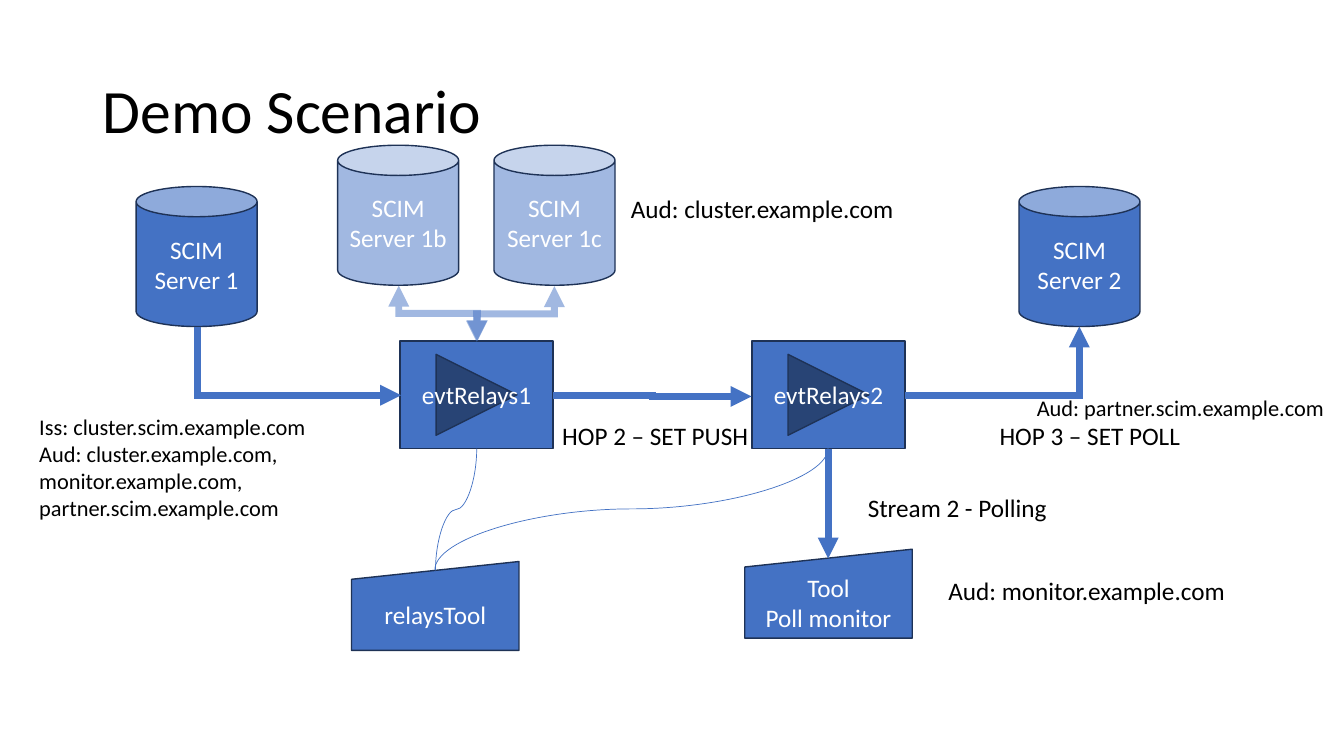
"""Build the Demo Scenario slide: SCIM servers linked by two event relays."""
from lxml import etree
from pptx import Presentation
from pptx.dml.color import RGBColor
from pptx.enum import shapes, text
from pptx.oxml import ns
from pptx.util import Cm, Pt

BLUE, NAVY, WHITE, BLACK = "4472C4", "1E3256", "FFFFFF", "000000"
KIND = shapes.MSO_SHAPE
LINK = shapes.MSO_CONNECTOR


def color(value):
    return RGBColor.from_string(value)


def write(frame, words, size, ink, align, anchor, spacing=1.0):
    frame.text = words
    for name, value in {"word_wrap": True, "vertical_anchor": anchor}.items():
        setattr(frame, name, value)
    for paragraph in frame.paragraphs:
        paragraph.alignment = align
        paragraph.line_spacing = spacing
        look = {"name": "Calibri", "size": Pt(size)}
        for name, value in look.items():
            setattr(paragraph.font, name, value)
        paragraph.font.color.rgb = color(ink)


deck = Presentation()
deck.slide_width, deck.slide_height = Cm(33.87), Cm(19.05)
slide = deck.slides.add_slide(deck.slide_layouts[6])

SERVER = (KIND.CAN, 3.05, 3.53)
RELAY = (KIND.ACTION_BUTTON_FORWARD_OR_NEXT, 3.86, 2.72)
TOOL = (KIND.FLOWCHART_MANUAL_INPUT, 4.22, 2.24)
nodes = [
    (SERVER, 12.45, 3.66, "SCIM Server 1c", 50),
    (SERVER, 8.51, 3.66, "SCIM Server 1b", 50),
    (SERVER, 3.43, 4.7, "SCIM Server 1", 100),
    (SERVER, 25.68, 4.7, "SCIM Server 2", 100),
    (RELAY, 10.08, 8.59, "evtRelays1", 100),
    (RELAY, 18.95, 8.59, "evtRelays2", 100),
    (TOOL, 18.77, 13.84, "Tool\nPoll monitor", 100),
    (TOOL, 8.86, 14.15, "relaysTool", 100),
]
for (kind, width, height), left, top, words, opacity in nodes:
    node = slide.shapes.add_shape(kind, Cm(left), Cm(top), Cm(width), Cm(height))
    node.shadow.inherit = False
    node.fill.solid()
    node.fill.fore_color.rgb = color(BLUE)
    if opacity < 100:
        tint = node.element.spPr.find(".//" + ns.qn("a:srgbClr"))
        etree.SubElement(tint, ns.qn("a:alpha"), val=str(opacity * 1000))
    node.line.color.rgb = color(NAVY)
    node.line.width = Pt(1)
    write(node.text_frame, words, 18, WHITE, text.PP_ALIGN.CENTER, text.MSO_ANCHOR.MIDDLE)

TAIL, BOTH = ("tailEnd",), ("headEnd", "tailEnd")
BENT, CORNER, CURVE = "bentConnector3", "bentConnector2", "curvedConnector3"
flows = [
    (CORNER, 6.68, 6.53, 1.73, 5.13, 270, "H", 5, TAIL, 100),
    (CORNER, 22.81, 8.23, 4.39, 1.73, 0, "V", 5, TAIL, 100),
    (BENT, 13.94, 9.96, 5, 0.03, 0, "", 5, TAIL, 100),
    (BENT, 19.49, 12.69, 2.77, 0, 270, "H", 5, TAIL, 100),
    (CURVE, 9.96, 12.32, 3.07, 1.04, 90, "HV", 0.5, (), 100),
    (CURVE, 14.38, 7.87, 3.07, 9.91, 90, "HV", 0.5, (), 100),
    (BENT, 10.34, 6.91, 1.4, 1.98, 270, "H", 5, BOTH, 50),
    (BENT, 12.29, 6.93, 1.4, 1.96, 90, "", 5, BOTH, 50),
]
for route, left, top, width, height, turn, flips, weight, heads, opacity in flows:
    bend = LINK.CURVE if route == CURVE else LINK.ELBOW
    flow = slide.shapes.add_connector(
        bend, Cm(left), Cm(top), Cm(left + width), Cm(top + height))
    flow.line.color.rgb = color(BLUE)
    flow.line.width = Pt(weight)
    frame = flow.element.spPr
    frame.find(ns.qn("a:prstGeom")).set("prst", route)
    placing = frame.find(ns.qn("a:xfrm"))
    placing.set("rot", str(turn * 60000))
    for axis in flips:
        placing.set("flip" + axis, "1")
    stroke = frame.find(ns.qn("a:ln"))
    if opacity < 100:
        tint = stroke.find(".//" + ns.qn("a:srgbClr"))
        etree.SubElement(tint, ns.qn("a:alpha"), val=str(opacity * 1000))
    etree.SubElement(stroke, ns.qn("a:miter"), lim="800000")
    for end in heads:
        etree.SubElement(stroke, ns.qn("a:" + end), type="triangle")
    etree.SubElement(frame, ns.qn("a:effectLst"))

audiences = "Aud: cluster.example.com,\vmonitor.example.com,\vpartner.scim.example.com"
TOP, MIDDLE = text.MSO_ANCHOR.TOP, text.MSO_ANCHOR.MIDDLE
labels = [
    (2.34, 1.02, 29.2, 3.68, "Demo Scenario", 44, MIDDLE, 0.9),
    (0.74, 10.29, 8.15, 3, "Iss: cluster.scim.example.com\n" + audiences, 16, TOP, 1.0),
    (13.92, 10.46, 5.59, 1.02, "HOP 2 – SET PUSH", 18, TOP, 1.0),
    (24.94, 10.46, 5.59, 1.02, "HOP 3 – SET POLL", 18, TOP, 1.0),
    (21.62, 12.29, 5.59, 1.02, "Stream 2 - Polling", 18, TOP, 1.0),
    (25.88, 9.8, 7.95, 0.94, "Aud: partner.scim.example.com", 16, TOP, 1.0),
    (15.65, 4.75, 8, 1.02, "Aud: cluster.example.com", 18, TOP, 1.0),
    (23.65, 14.38, 8, 1.02, "Aud: monitor.example.com", 18, TOP, 1.0),
]
for left, top, width, height, words, size, anchor, spacing in labels:
    label = slide.shapes.add_textbox(Cm(left), Cm(top), Cm(width), Cm(height))
    write(label.text_frame, words, size, BLACK, text.PP_ALIGN.LEFT, anchor, spacing)

deck.save("out.pptx")
